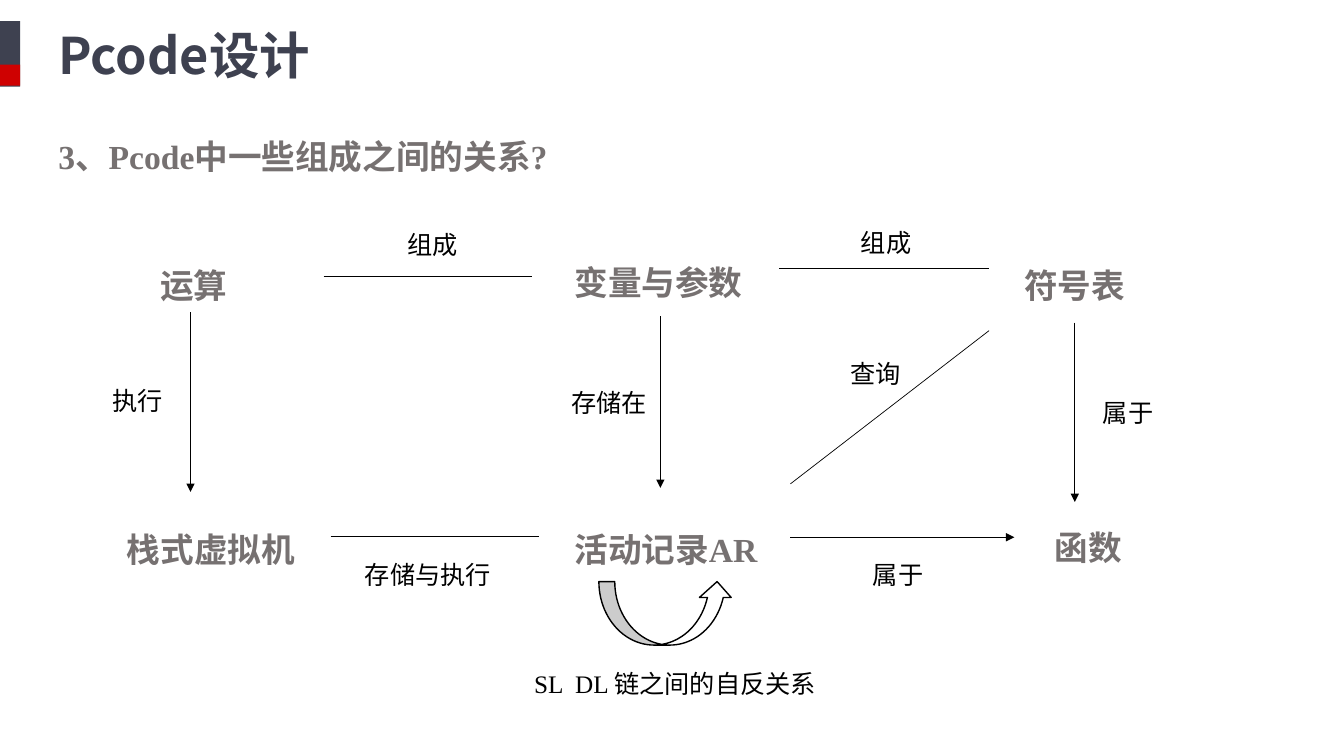
from lxml import etree
from pptx import Presentation
from pptx.dml.color import RGBColor
from pptx.enum.shapes import MSO_CONNECTOR, MSO_SHAPE
from pptx.enum.text import MSO_ANCHOR, PP_ALIGN
from pptx.oxml.ns import qn
from pptx.util import Inches, Pt

STRAIGHT = MSO_CONNECTOR.STRAIGHT
RECTANGLE = MSO_SHAPE.RECTANGLE
CURVED_UP_ARROW = MSO_SHAPE.CURVED_UP_ARROW
TOP = MSO_ANCHOR.TOP
LEFT = PP_ALIGN.LEFT
TITLE_ONLY = 5

CJK_FONT = "Noto Sans CJK SC"
LATIN_FONT = "Times New Roman"
NAVY, RED, GRAY, BLACK, WHITE = "3E4150", "CF0101", "767171", "000000", "FFFFFF"

CONCEPTS = [
    ("运算", 1.49, 2.38),
    ("变量与参数", 5.6, 2.35),
    ("符号表", 10.06, 2.38),
    ("栈式虚拟机", 1.16, 5),
    ("活动记录AR", 5.6, 5),
    ("函数", 10.36, 4.98),
]
RELATION_LABELS = [
    ("组成", 3.94, 2.23, 0.76),
    ("组成", 8.44, 2.21, 0.76),
    ("执行", 1.02, 3.77, 0.76),
    ("存储在", 5.57, 3.79, 1.2),
    ("查询", 8.34, 3.51, 0.76),
    ("属于", 10.84, 3.89, 1.2),
    ("存储与执行", 3.52, 5.5, 1.85),
    ("属于", 8.56, 5.5, 1.2),
    ("SL  DL 链之间的自反关系", 5.2, 6.58, 3.86),
]
PLAIN_LINES = [
    (3.21, 2.74, 5.28, 2.74),
    (7.73, 2.66, 9.81, 2.66),
    (9.81, 3.28, 7.84, 4.8),
    (3.28, 5.32, 5.35, 5.32),
]
ARROWS = [
    (1.89, 3.1, 1.89, 4.88),
    (6.55, 3.14, 6.55, 4.84),
    (10.66, 3.2, 10.66, 4.98),
    (7.84, 5.33, 10.06, 5.33),
]


def color(value):
    """Return the colour for a hex string."""
    return RGBColor.from_string(value)


def write_text(frame, text, size, font_name, text_color, bold, spacing):
    """Write one left-aligned run at the top of a text frame."""
    frame.word_wrap = True
    frame.vertical_anchor = TOP
    paragraph = frame.paragraphs[0]
    paragraph.alignment = LEFT
    paragraph.line_spacing = spacing
    run = paragraph.add_run()
    run.text = text
    run.font.size = Pt(size)
    run.font.bold = bold
    run.font.color.rgb = color(text_color)
    run.font.name = font_name
    east_asian = etree.SubElement(run.font._element, qn("a:ea"))
    east_asian.set("typeface", CJK_FONT)


def add_title(slide, text):
    """Place and fill the title placeholder."""
    title = slide.shapes.title
    title.left, title.top = Inches(0.48), Inches(0.19)
    title.width, title.height = Inches(8.01), Inches(0.71)
    write_text(title.text_frame, text, 36, CJK_FONT, NAVY, True, 1.0)


def add_heading(slide, text, left, top, width=2.14):
    """Add a bold gray heading or concept name."""
    box = slide.shapes.add_textbox(Inches(left), Inches(top), Inches(width), Inches(0.63))
    write_text(box.text_frame, text, 24, LATIN_FONT, GRAY, True, 1.5)


def add_label(slide, text, left, top, width):
    """Add a black relation label."""
    box = slide.shapes.add_textbox(Inches(left), Inches(top), Inches(width), Inches(0.4))
    write_text(box.text_frame, text, 18, LATIN_FONT, BLACK, False, 1.0)


def add_shape(slide, kind, left, top, width, height, fill, outline=None):
    """Add a filled preset shape, with an outline if one is given."""
    shape = slide.shapes.add_shape(
        kind, Inches(left), Inches(top), Inches(width), Inches(height))
    shape.shadow.inherit = False
    shape.fill.solid()
    shape.fill.fore_color.rgb = color(fill)
    if outline:
        shape.line.color.rgb = color(outline)
        shape.line.width = Pt(1)
    else:
        shape.line.fill.background()


def add_line(slide, ends, arrow=False):
    """Add a thin black line, with an arrowhead at its end if asked."""
    line = slide.shapes.add_connector(STRAIGHT, *[Inches(value) for value in ends])
    line.line.color.rgb = color(BLACK)
    line.line.width = Pt(0.5)
    properties = line._element.spPr
    if arrow:
        outline = properties.find(qn("a:ln"))
        etree.SubElement(outline, qn("a:tailEnd")).set("type", "triangle")
    etree.SubElement(properties, qn("a:effectLst"))


def main():
    """Build and save the slide."""
    presentation = Presentation()
    presentation.slide_width = Inches(13.33)
    presentation.slide_height = Inches(7.5)
    slide = presentation.slides.add_slide(presentation.slide_layouts[TITLE_ONLY])

    add_shape(slide, RECTANGLE, 0, 0.21, 0.2, 0.65, NAVY)
    add_shape(slide, RECTANGLE, 0, 0.64, 0.2, 0.21, RED)
    add_title(slide, "Pcode设计")
    add_heading(slide, "3、Pcode中一些组成之间的关系?", 0.48, 1.1, 9.76)
    for concept in CONCEPTS:
        add_heading(slide, *concept)
    for ends in PLAIN_LINES:
        add_line(slide, ends)
    for ends in ARROWS:
        add_line(slide, ends, arrow=True)
    add_shape(slide, CURVED_UP_ARROW, 5.94, 5.77, 1.33, 0.63, WHITE, BLACK)
    for label in RELATION_LABELS:
        add_label(slide, *label)

    presentation.save("out.pptx")


if __name__ == "__main__":
    main()
